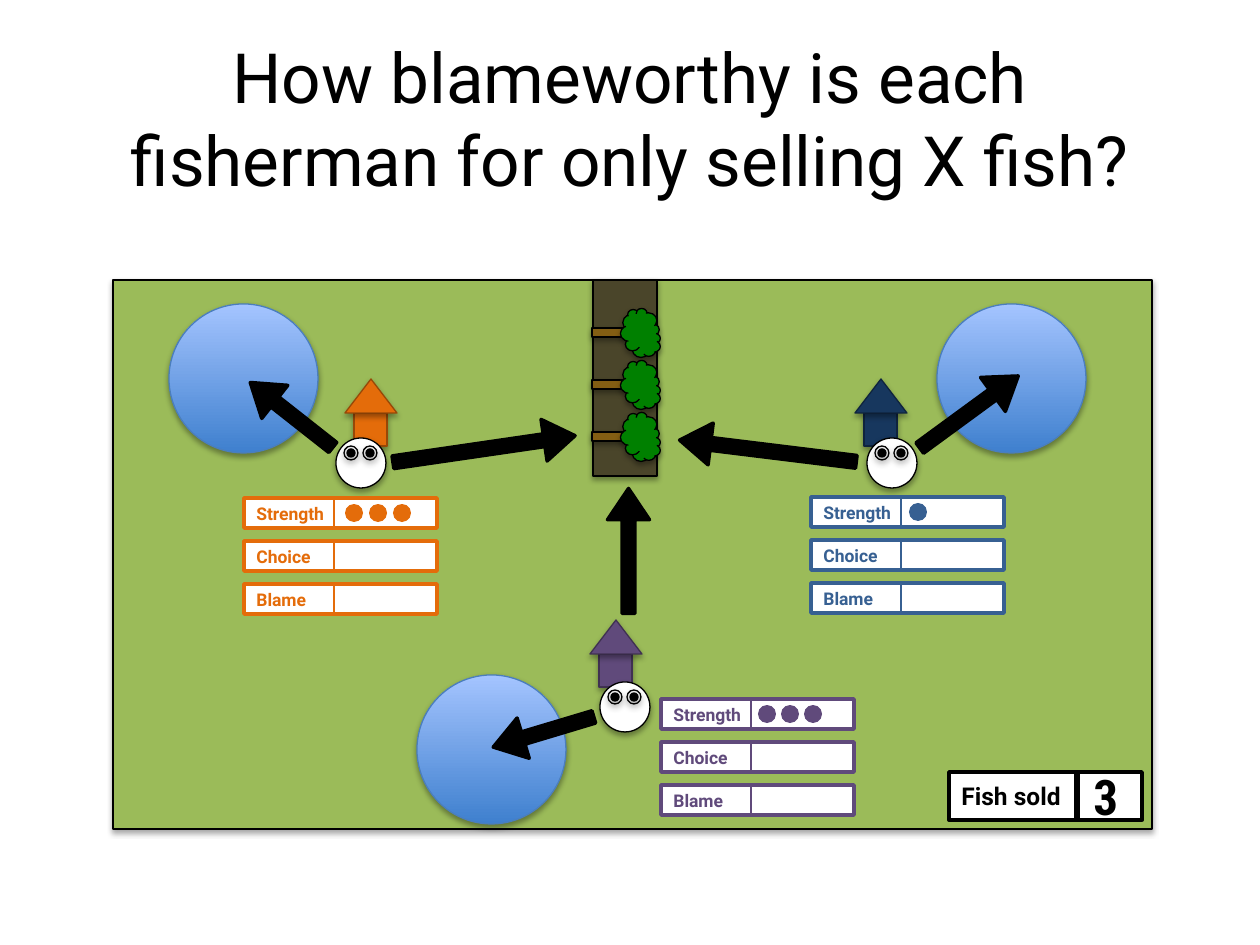
from lxml.etree import SubElement
from pptx import Presentation
from pptx.dml.color import RGBColor
from pptx.enum.shapes import MSO_CONNECTOR as Link, MSO_SHAPE as Kind
from pptx.enum.text import MSO_ANCHOR as Anchor, MSO_AUTO_SIZE as Fit, PP_ALIGN as Align
from pptx.oxml.ns import qn
from pptx.util import Pt

SCALE = 914400 / 126
BLACK = RGBColor(0, 0, 0)
WHITE = RGBColor(255, 255, 255)
GRASS = RGBColor(0x9B, 0xBB, 0x59)
ROAD = RGBColor(0x4A, 0x45, 0x2A)
TRUNK = RGBColor(0x83, 0x5E, 0x13)
LEAF = RGBColor(0x00, 0x80, 0x00)
DEEP = RGBColor(0x3F, 0x80, 0xCE)
SKY = RGBColor(0xA4, 0xC4, 0xFF)
SHORE = RGBColor(0x4B, 0x7E, 0xBC)
ORANGE = RGBColor(0xE4, 0x6C, 0x0A)
RUST = RGBColor(0x98, 0x48, 0x07)
PURPLE = RGBColor(0x60, 0x4A, 0x7B)
PLUM = RGBColor(0x40, 0x31, 0x52)
NAVY = RGBColor(0x17, 0x37, 0x5E)
INK = RGBColor(0x0F, 0x24, 0x3E)
BLUE = RGBColor(0x37, 0x60, 0x92)


def px(*sizes):
    return [round(size * SCALE) for size in sizes]


def shade(shape):
    effects = SubElement(shape._element.spPr, qn("a:effectLst"))
    outer = SubElement(effects, qn("a:outerShdw"), blurRad="40000",
                       dist="23000", dir="5400000", rotWithShape="0")
    color = SubElement(outer, qn("a:srgbClr"), val="000000")
    SubElement(color, qn("a:alpha"), val="35000")


def draw(shapes, kind, box, fill=None, line=None, width=0.75, turn=0, cast=False):
    shape = shapes.add_shape(kind, *px(*box))
    shape.rotation = turn
    if fill is None:
        shape.fill.background()
    else:
        shape.fill.solid()
        shape.fill.fore_color.rgb = fill
    if line is None:
        shape.line.fill.background()
    else:
        shape.line.color.rgb = line
        shape.line.width = Pt(width)
    if cast:
        shade(shape)
    else:
        shape.shadow.inherit = False
    return shape


def write(shape, text, size, color=BLACK, font="Roboto", bold=False,
          align=Align.LEFT, anchor=Anchor.MIDDLE, wrap=True, fit=Fit.NONE):
    frame = shape.text_frame
    frame.word_wrap = wrap
    frame.auto_size = fit
    frame.vertical_anchor = anchor
    para = frame.paragraphs[0]
    para.alignment = align
    run = para.add_run()
    run.text = text
    run.font.size = Pt(size)
    run.font.name = font
    run.font.bold = bold
    run.font.color.rgb = color


def add_title(slide, box):
    title = slide.shapes.title
    title.left, title.top, title.width, title.height = px(*box)
    write(title, "How blameworthy is each fisherman for only selling X fish?",
          39.6, align=Align.CENTER)


def add_house(shapes, left, top, fill, line):
    draw(shapes, Kind.RECTANGLE, (left + 9, top + 34, 33, 33), fill, line, cast=True)
    draw(shapes, Kind.ISOSCELES_TRIANGLE, (left, top, 52, 34), fill, line, cast=True)


def add_pond(shapes, left, top):
    pond = draw(shapes, Kind.OVAL, (left, top, 149, 149), DEEP, SHORE, cast=True)
    pond.fill.gradient()
    pond.fill.gradient_angle = 90
    for stop, color, place in zip(pond.fill.gradient_stops, (DEEP, SKY), (0, 1)):
        stop.color.rgb = color
        stop.position = place


def add_face(shapes, left, top):
    parts = shapes.add_group_shape().shapes
    draw(parts, Kind.OVAL, (left, top, 50, 50), WHITE, BLACK, cast=True)
    for gap, size, fill in ((8, 14, None), (11, 8, BLACK)):
        for side in (0, 19):
            draw(parts, Kind.OVAL, (left + gap + side, top + gap, size, size),
                 fill, BLACK, cast=True)


def add_tree(shapes, left, top):
    parts = shapes.add_group_shape().shapes
    draw(parts, Kind.RECTANGLE, (left, top, 9, 47), TRUNK, BLACK, turn=90, cast=True)
    draw(parts, Kind.CLOUD, (left + 5, top + 4, 49, 40), LEAF, BLACK, turn=90, cast=True)


def add_row(shapes, box, split, label, size, color, width):
    left, top, _, high = box
    row = draw(shapes, Kind.RECTANGLE, box, WHITE, color, 2)
    write(row, label, size, color, bold=True)
    line = shapes.add_connector(
        Link.STRAIGHT, *px(left + split, top, left + split, top + high))
    line.line.color.rgb = color
    line.line.width = Pt(width)
    SubElement(line._element.spPr, qn("a:effectLst"))


def add_panel(shapes, left, top, color, count, lead, step):
    for rank, label in enumerate(("Strength", "Choice", "Blame")):
        add_row(shapes, (left, top + 43 * rank, 193, 30), 90, label, 10, color, 1.5)
    for rank in range(count):
        draw(shapes, Kind.OVAL, (left + lead + step * rank, top + 6, 18, 18), color)


def add_arrow(shapes, left, top, wide, turn):
    arrow = draw(shapes, Kind.LEFT_ARROW, (left, top, wide, 42), BLACK, BLACK, 2, turn)
    arrow.adjustments[0] = 0.305
    arrow.adjustments[1] = 0.744


def add_score(shapes, left, top):
    add_row(shapes, (left, top, 193, 48), 128, "Fish sold", 14, BLACK, 3)
    score = shapes.add_textbox(*px(left + 132, top - 12, 52, 72))
    write(score, "3", 28, font="Roboto Condensed", bold=True,
          anchor=Anchor.TOP, wrap=False, fit=Fit.SHAPE_TO_FIT_TEXT)


def add_map(shapes, left, top, wide, high):
    draw(shapes, Kind.RECTANGLE, (left, top, wide, high), GRASS, BLACK, cast=True)
    for x, y, fill, line in ((232, 99, ORANGE, RUST), (477, 340, PURPLE, PLUM),
                             (742, 99, NAVY, INK)):
        add_house(shapes, left + x, top + y, fill, line)
    for x, y in ((56, 24), (304, 395), (824, 24)):
        add_pond(shapes, left + x, top + y)
    draw(shapes, Kind.RECTANGLE, (left + 480, top, 64, 196), ROAD, BLACK, cast=True)
    for x, y in ((223, 158), (754, 158), (487, 402)):
        add_face(shapes, left + x, top + y)
    for x, y, color, count, lead, step in ((131, 218, ORANGE, 3, 101, 24),
                                           (548, 419, PURPLE, 3, 97, 23),
                                           (698, 217, BLUE, 1, 98, 23)):
        add_panel(shapes, left + x, top + y, color, count, lead, step)
    for x, y, size, turn in ((126, 114, 105, 38.2), (279, 148, 184, 171.7),
                             (378, 431, 105, 343.3), (453, 250, 125, 90),
                             (566, 150, 178, 7), (795, 111, 122, 143.8)):
        add_arrow(shapes, left + x, top + y, size, turn)
    add_score(shapes, left + 836, top + 492)
    for rank in range(3):
        add_tree(shapes, left + 498, top + 29 + 52 * rank)


def main():
    deck = Presentation()
    deck.slide_width, deck.slide_height = px(1260, 945)
    slide = deck.slides.add_slide(deck.slide_layouts[5])
    add_title(slide, (63, 38, 1134, 158))
    add_map(slide.shapes, 113, 280, 1039, 549)
    deck.save("out.pptx")


if __name__ == "__main__":
    main()
